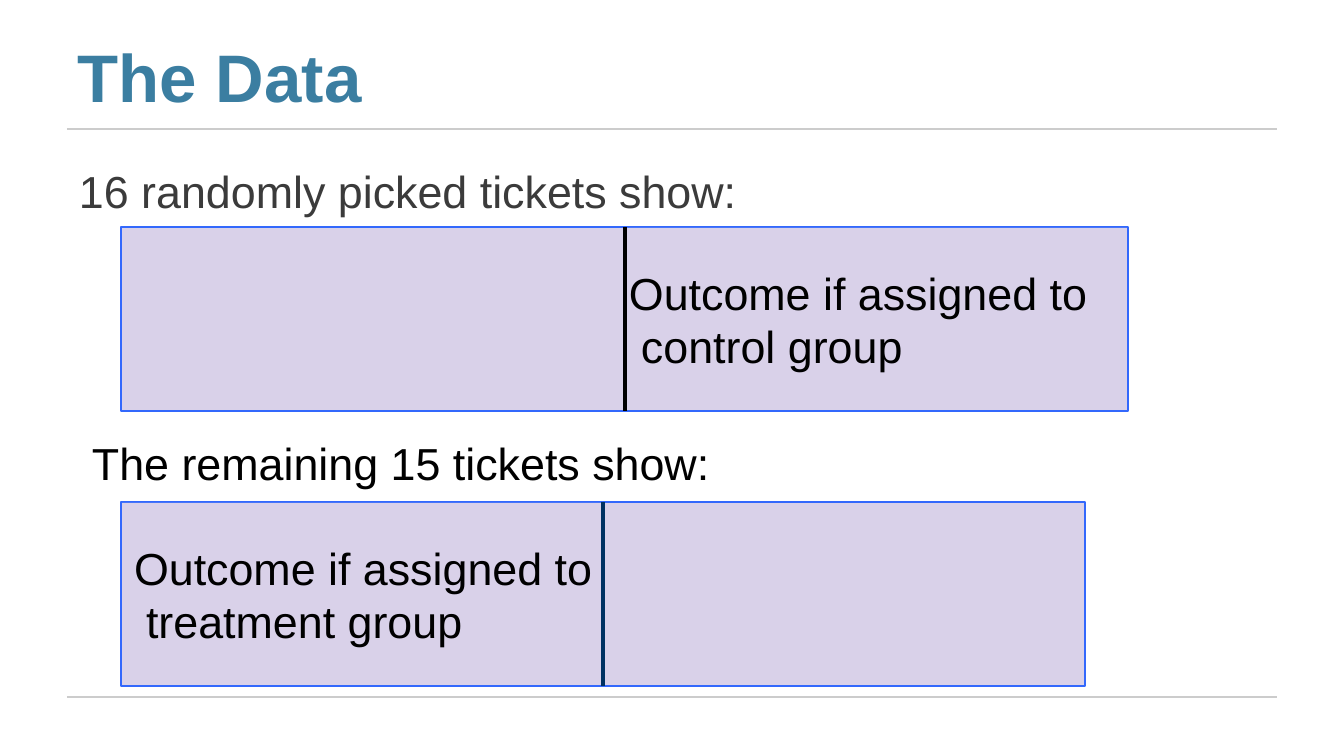
from dataclasses import dataclass

from lxml import etree
from pptx import Presentation
from pptx.dml.color import RGBColor
from pptx.enum.shapes import MSO_CONNECTOR, MSO_SHAPE
from pptx.enum.text import MSO_ANCHOR, PP_ALIGN
from pptx.oxml.ns import qn
from pptx.util import Emu, Pt

RECT = MSO_SHAPE.RECTANGLE
STRAIGHT = MSO_CONNECTOR.STRAIGHT
TOP, MIDDLE, BOTTOM = MSO_ANCHOR.TOP, MSO_ANCHOR.MIDDLE, MSO_ANCHOR.BOTTOM
LEFT = PP_ALIGN.LEFT


@dataclass(frozen=True)
class Theme:
    font: str = "Arial"
    title: str = "3B7EA1"
    lead: str = "3B3B3B"
    ink: str = "000000"
    navy: str = "003162"
    fill: str = "D9D1E9"
    edge: str = "3368FC"
    rule: str = "CCCCCC"
    big: float = 36
    body: float = 24
    pitch: float = 28.5
    thin: float = 0.75
    thick: float = 2.25


@dataclass(frozen=True)
class Box:
    x: int
    y: int
    w: int
    h: int


@dataclass(frozen=True)
class Label:
    text: str
    box: Box
    color: str


@dataclass(frozen=True)
class Ticket:
    card: Box
    half: Box
    text: str
    inset: int
    split: int
    color: str


THEME = Theme()
HANG = 12
RULES = (129, 697)
LABELS = (
    Label("16 randomly picked tickets show:", Box(78, 161, 660, 58), THEME.lead),
    Label("The remaining 15 tickets show:", Box(91, 433, 621, 58), THEME.ink),
)
TICKETS = (
    Ticket(Box(121, 227, 1007, 184), Box(626, 228, 501, 182),
           "Outcome if assigned to\vcontrol group", 3, 625, THEME.ink),
    Ticket(Box(121, 502, 964, 184), Box(122, 503, 479, 182),
           "Outcome if assigned to\vtreatment group", 12, 603, THEME.navy),
)


def px(n: int) -> Emu:
    return Emu(round(n * 914400 / 134.4))


def rgb(code: str) -> RGBColor:
    return RGBColor.from_string(code)


def area(box: Box) -> tuple[Emu, ...]:
    return px(box.x), px(box.y), px(box.w), px(box.h)


def write(shape, text: str, size: float, color: str, anchor, top: int = 0,
          left: int = 0, bold: bool = False):
    frame = shape.text_frame
    frame.text = text
    frame.word_wrap = False
    frame.vertical_anchor = anchor
    frame.margin_right = frame.margin_bottom = 0
    frame.margin_left, frame.margin_top = px(left), px(top)
    para = frame.paragraphs[0]
    para.alignment = LEFT
    para.font.name = THEME.font
    para.font.size = Pt(size)
    para.font.bold = bold
    para.font.color.rgb = rgb(color)
    return para


def block(slide, box: Box, edge: bool):
    shape = slide.shapes.add_shape(RECT, *area(box))
    shape.shadow.inherit = False
    shape.fill.solid()
    shape.fill.fore_color.rgb = rgb(THEME.fill)
    if edge:
        shape.line.color.rgb = rgb(THEME.edge)
        shape.line.width = Pt(THEME.thin)
    else:
        shape.line.fill.background()
    return shape


def stroke(slide, start: tuple[int, int], end: tuple[int, int],
           color: str, width: float) -> None:
    line = slide.shapes.add_connector(
        STRAIGHT, px(start[0]), px(start[1]), px(end[0]), px(end[1]))
    line.line.color.rgb = rgb(color)
    line.line.width = Pt(width)
    props = line._element.find(qn("p:spPr"))
    etree.SubElement(props, qn("a:effectLst"))


def ticket(slide, item: Ticket) -> None:
    block(slide, item.card, True)
    half = block(slide, item.half, False)
    para = write(half, item.text, THEME.body, THEME.ink, TOP, 38, item.inset)
    para.line_spacing = Pt(THEME.pitch)
    props = para._p.get_or_add_pPr()
    props.set("marL", str(px(HANG)))
    props.set("indent", str(-px(HANG)))
    end = item.card.y + item.card.h
    stroke(slide, (item.split, item.card.y), (item.split, end),
           item.color, THEME.thick)


def build() -> None:
    deck = Presentation()
    deck.slide_width, deck.slide_height = px(1344), px(756)
    slide = deck.slides.add_slide(deck.slide_layouts[5])
    for y in RULES:
        stroke(slide, (67, y), (1277, y), THEME.rule, THEME.thin)
    title = slide.shapes.title
    title.left, title.top, title.width, title.height = area(Box(78, 31, 288, 85))
    write(title, "The Data", THEME.big, THEME.title, BOTTOM, bold=True)
    for item in LABELS:
        label = slide.shapes.add_textbox(*area(item.box))
        write(label, item.text, THEME.body, item.color, MIDDLE, 2, 1)
    for item in TICKETS:
        ticket(slide, item)
    deck.save("out.pptx")


build()
